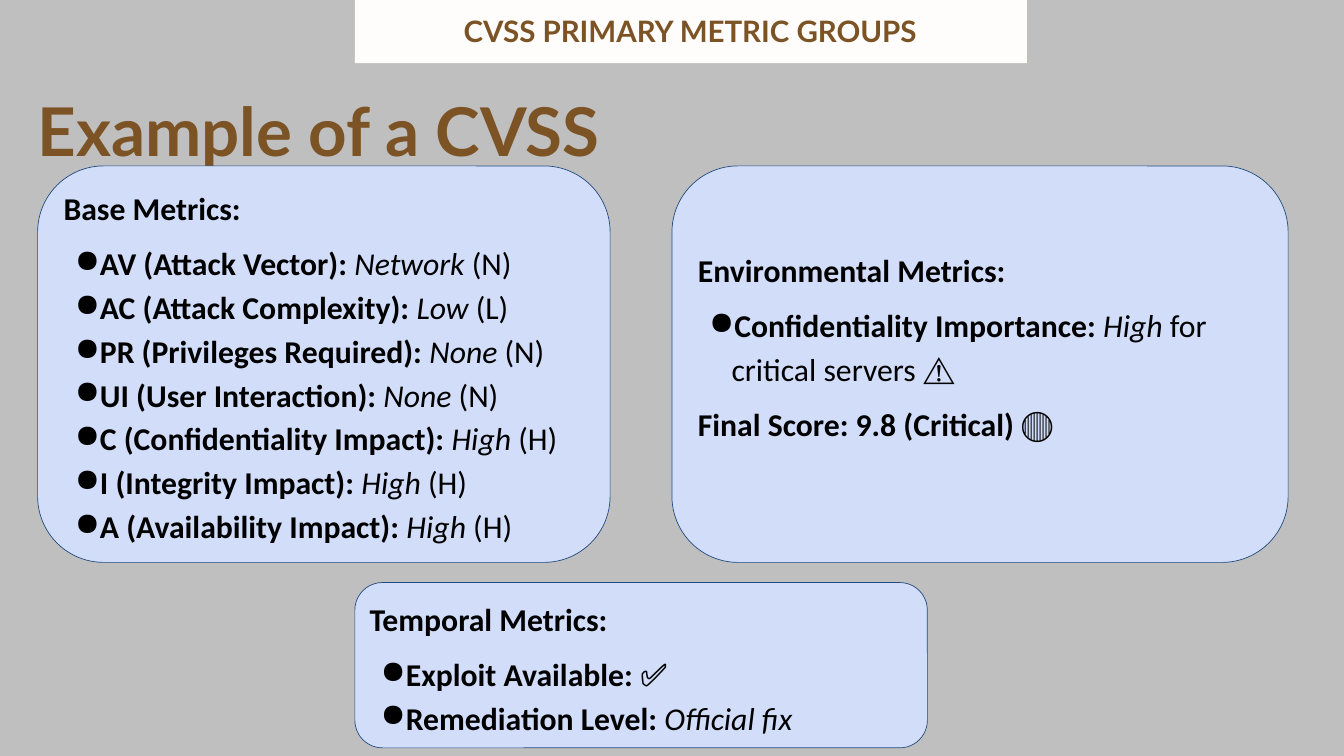
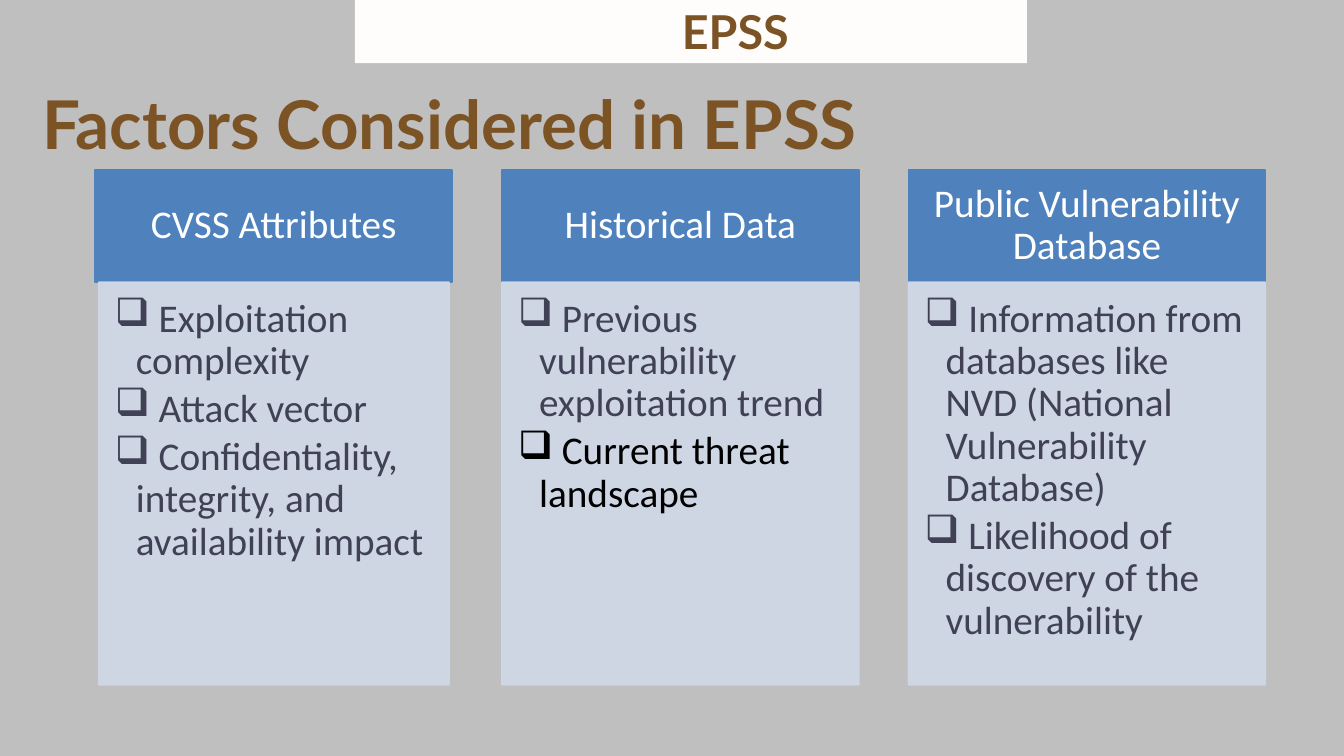
from collections import namedtuple

from lxml.etree import SubElement
from pptx import Presentation
from pptx.dml.color import RGBColor
from pptx.enum.shapes import MSO_SHAPE
from pptx.enum.text import MSO_ANCHOR, MSO_AUTO_SIZE, PP_ALIGN
from pptx.oxml.ns import qn
from pptx.util import Pt

BACKGROUND = RGBColor(0xBF, 0xBF, 0xBF)
BAND = RGBColor(0xFF, 0xFD, 0xFC)
BROWN = RGBColor(0x7B, 0x53, 0x25)
CARD = RGBColor(0xD2, 0xDD, 0xF9)
NAVY = RGBColor(0x1F, 0x49, 0x7D)
BLUE = RGBColor(0x4F, 0x81, 0xBD)
PALE = RGBColor(0xD0, 0xD8, 0xE8)
SLATE = RGBColor(0x40, 0x41, 0x55)
BLACK = RGBColor(0, 0, 0)
WHITE = RGBColor(0xFF, 0xFF, 0xFF)

HEADING = {"name": "Lato", "bold": True}
BODY = {"name": "Calibri"}
EMPHASIS = {"b": {"bold": True}, "i": {"italic": True}, "": {}}

Box = namedtuple("Box", "left top width height")
BAND_BOX = Box(380.2, 0, 720, 67.7)
BASE_BOX = Box(40.3, 177.8, 613.4, 424.8)
TEMPORAL_BOX = Box(380.2, 624.2, 613.4, 177.1)
ENVIRONMENTAL_BOX = Box(720, 177.8, 660.2, 424.8)
COLUMNS_BOX = Box(102.2, 182.2, 1253.5, 551.5)
COLUMN_GAP = 53.3
HEADER_HEIGHT = 120.2

BASE_METRICS = [
    ("AV (Attack Vector)", "Network", "N"),
    ("AC (Attack Complexity)", "Low", "L"),
    ("PR (Privileges Required)", "None", "N"),
    ("UI (User Interaction)", "None", "N"),
    ("C (Confidentiality Impact)", "High", "H"),
    ("I (Integrity Impact)", "High", "H"),
    ("A (Availability Impact)", "High", "H"),
]
FACTORS = [
    ("CVSS Attributes", 3.6, [
        ("Exploitation complexity", SLATE),
        ("Attack vector", SLATE),
        ("Confidentiality, integrity, and availability impact", SLATE),
    ]),
    ("Historical Data", 0, [
        ("Previous vulnerability exploitation trend", SLATE),
        ("Current threat landscape", BLACK),
    ]),
    ("Public Vulnerability Database", 0, [
        ("Information from databases like NVD (National Vulnerability Database)", SLATE),
        ("Likelihood of discovery of the vulnerability", SLATE),
    ]),
]


def apply(target, formats):
    for name, value in formats.items():
        setattr(target, name, value)


def place(box):
    return [Pt(length) for length in box]


def set_frame(frame, insets, anchor=MSO_ANCHOR.TOP):
    sides = ("margin_left", "margin_top", "margin_right", "margin_bottom")
    apply(frame, dict(zip(sides, map(Pt, insets))))
    apply(frame, {"word_wrap": True, "auto_size": MSO_AUTO_SIZE.NONE,
                  "vertical_anchor": anchor})


def add_panel(slide, preset, box, fill, line, line_width):
    panel = slide.shapes.add_shape(preset, *place(box))
    panel.shadow.inherit = False
    panel.fill.solid()
    panel.fill.fore_color.rgb = fill
    if line is None:
        panel.line.fill.background()
    else:
        panel.line.color.rgb = line
        panel.line.width = Pt(line_width)
    return panel


def make_translucent(panel, percent):
    for color in panel._element.spPr.iter(qn("a:srgbClr")):
        SubElement(color, qn("a:alpha"), val=str(percent * 1000))


def write(frame, index, runs, font, size, color, layout, bullet=None, indent=0):
    paragraph = frame.paragraphs[0] if index == 0 else frame.add_paragraph()
    if bullet:
        properties = paragraph._p.get_or_add_pPr()
        properties.set("marL", str(Pt(indent[0])))
        properties.set("indent", str(Pt(indent[1])))
        SubElement(properties, qn("a:buChar"), char=bullet)
    apply(paragraph, layout)
    for text, emphasis in runs:
        run = paragraph.add_run()
        run.text = text
        apply(run.font, {**font, "size": Pt(size), **EMPHASIS[emphasis]})
        run.font.color.rgb = color


def add_band(slide, text, box, size, spacing):
    add_panel(slide, MSO_SHAPE.RECTANGLE, BAND_BOX, BAND, None, 0)
    label = slide.shapes.add_textbox(*place(box)).text_frame
    set_frame(label, [0] * 4)
    write(label, 0, [(text, "")], HEADING, size, BROWN,
          {"alignment": PP_ALIGN.RIGHT, "line_spacing": Pt(spacing)})


def set_title(slide, text, box, inset, anchor):
    title = slide.shapes.title
    apply(title, dict(zip(Box._fields, place(box))))
    set_frame(title.text_frame, [inset] * 4, anchor)
    write(title.text_frame, 0, [(text, "")], HEADING, 72, BROWN,
          {"alignment": PP_ALIGN.LEFT, "line_spacing": Pt(100.8)})


def add_metric_card(slide, box, heading, metrics, conclusion=None, bottom_inset=7.2):
    card = add_panel(slide, MSO_SHAPE.ROUNDED_RECTANGLE, box, CARD, NAVY, 0.75)
    frame = card.text_frame
    set_frame(frame, [7.2, 7.2, 7.2, bottom_inset], MSO_ANCHOR.MIDDLE)
    lines = [([(heading, "b")], None)] + [(runs, "●") for runs in metrics]
    if conclusion:
        lines.append((conclusion, None))
    for index, (runs, bullet) in enumerate(lines):
        layout = {"alignment": PP_ALIGN.LEFT, "line_spacing": 1.15}
        if index == 1 or (index and not bullet):
            layout["space_before"] = Pt(12)
        write(frame, index, runs, BODY, 34, BLACK, layout, bullet, (36, -24))


def add_factor_column(slide, box, heading, body_inset, factors):
    header_box = box._replace(height=HEADER_HEIGHT)
    header = add_panel(slide, MSO_SHAPE.RECTANGLE, header_box, BLUE, BLUE, 2)
    set_frame(header.text_frame, [23.8, 13.7, 23.8, 13.7], MSO_ANCHOR.MIDDLE)
    write(header.text_frame, 0, [(heading, "")], BODY, 42, WHITE,
          {"alignment": PP_ALIGN.CENTER, "line_spacing": 0.9})

    body_box = Box(box.left + body_inset, box.top + HEADER_HEIGHT,
                   box.width - 2 * body_inset, box.height - HEADER_HEIGHT)
    body = add_panel(slide, MSO_SHAPE.RECTANGLE, body_box, PALE, PALE, 2)
    make_translucent(body, 90)
    set_frame(body.text_frame, [17.3, 17.3, 23.8, 26.6])
    layout = {"alignment": PP_ALIGN.LEFT, "line_spacing": 0.9, "space_after": Pt(6)}
    for index, (factor, color) in enumerate(factors):
        write(body.text_frame, index, [(" " + factor, "")], BODY, 42, color,
              layout, "❑", (22.5, -22.5))


def add_factor_columns(slide, box):
    count = len(FACTORS)
    width = (box.width - COLUMN_GAP * (count - 1)) / count
    for index, factor in enumerate(FACTORS):
        left = box.left + index * (width + COLUMN_GAP)
        add_factor_column(slide, box._replace(left=left, width=width), *factor)


def build_cvss_slide(slide):
    set_title(slide, "Example of a CVSS", Box(40.3, 81.4, 743, 96.5), 0, MSO_ANCHOR.TOP)
    add_band(slide, "CVSS PRIMARY METRIC GROUPS", Box(457.9, 7.9, 524.2, 43.9), 31.6, 44.2)
    add_metric_card(slide, BASE_BOX, "Base Metrics:", [
        [(f"{metric}: ", "b"), (value, "i"), (f" ({code})", "")]
        for metric, value, code in BASE_METRICS
    ])
    add_metric_card(slide, TEMPORAL_BOX, "Temporal Metrics:", [
        [("Exploit Available:", "b"), (" ✅", "")],
        [("Remediation Level: ", "b"), ("Official fix", "i")],
    ])
    add_metric_card(
        slide, ENVIRONMENTAL_BOX, "Environmental Metrics:",
        [[("Confidentiality Importance: ", "b"), ("High", "i"),
          (" for critical servers ⚠️", "")]],
        [("Final Score: 9.8 (Critical)", "b"), (" 🔴", "")],
        bottom_inset=50)


def build_epss_slide(slide):
    set_title(slide, "Factors Considered in EPSS", Box(31, 70.6, 1294.6, 118.8),
              14.4, MSO_ANCHOR.BOTTOM)
    add_band(slide, "EPSS", Box(635, -7.2, 210.2, 67), 50, 70)
    add_factor_columns(slide, COLUMNS_BOX)


def main():
    presentation = Presentation()
    apply(presentation, {"slide_width": Pt(1440), "slide_height": Pt(810)})
    background = presentation.slide_master.background.fill
    background.solid()
    background.fore_color.rgb = BACKGROUND
    title_only = presentation.slide_layouts[5]
    for build in (build_cvss_slide, build_epss_slide):
        build(presentation.slides.add_slide(title_only))
    presentation.save("out.pptx")


if __name__ == "__main__":
    main()
